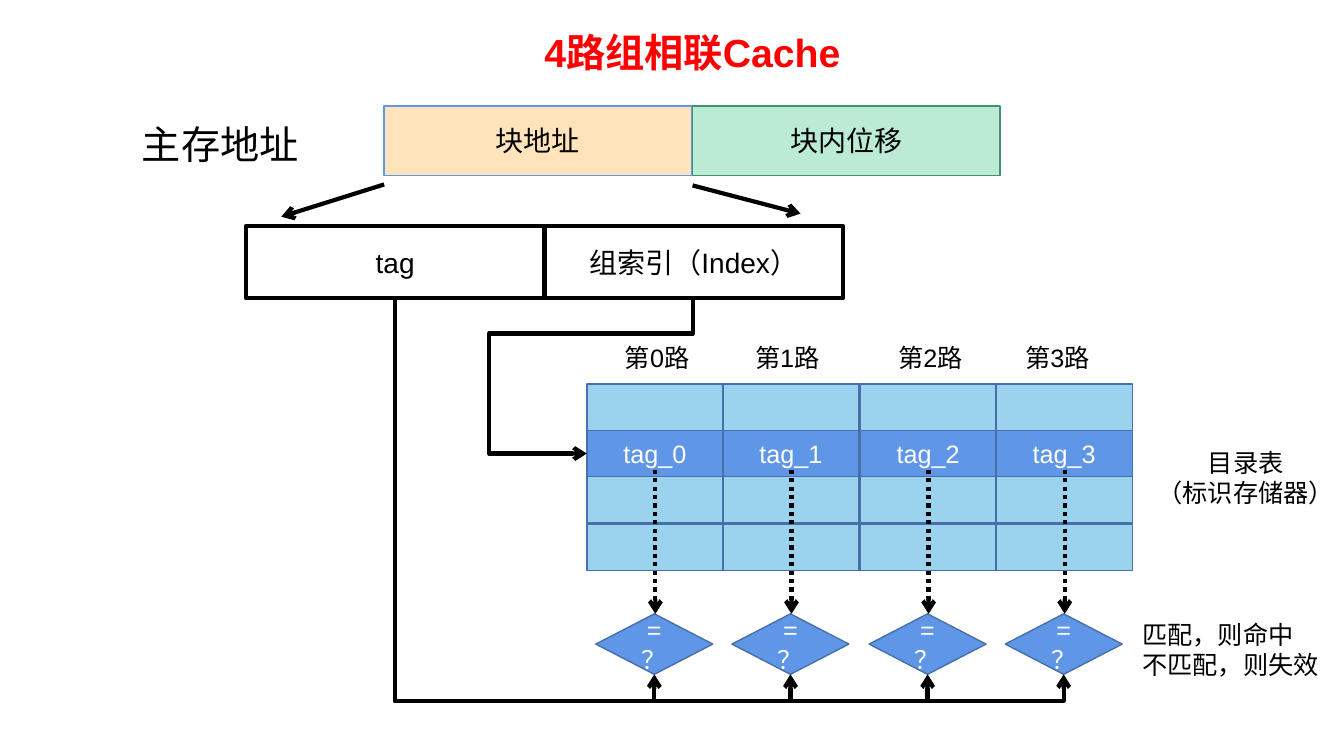
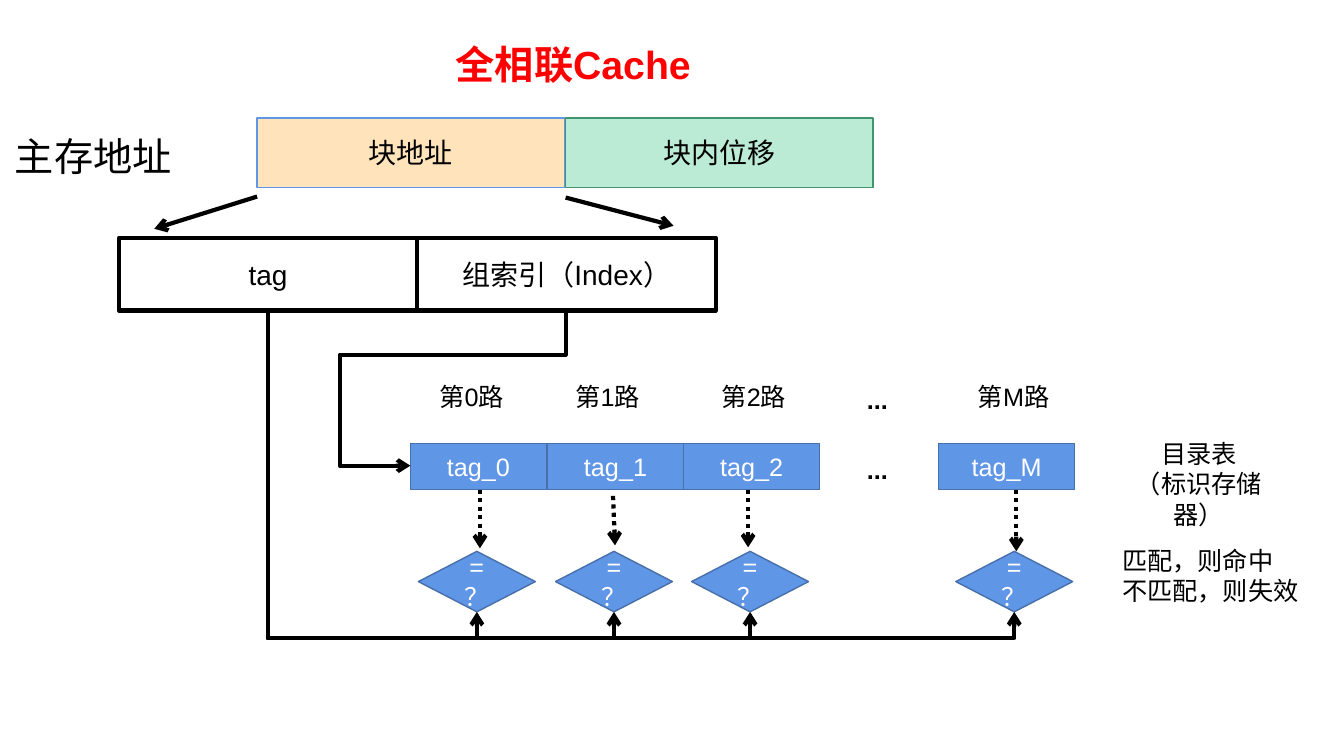
"""Draw two cache-mapping diagrams: 4-way set associative and fully associative."""
from dataclasses import dataclass
from typing import Optional

from pptx import Presentation
from pptx import util as u
from pptx.dml.color import RGBColor
from pptx.enum import dml, shapes, text
from pptx.oxml import parse_xml
from pptx.oxml.ns import nsdecls

EMU_PER_PX = 9144
FONT = "Arial"
COLORS = {
    "black": "000000", "white": "FFFFFF", "title": "FF0000",
    "block": "FFE3BB", "block_line": "6096E6",
    "offset": "BBEAD5", "offset_line": "40956E",
    "cell": "9BD3EF", "hit": "6096E6", "cell_line": "476FAA",
}
RECT = shapes.MSO_SHAPE.RECTANGLE
GATE = shapes.MSO_SHAPE.FLOWCHART_DECISION
LEFT, CENTER = text.PP_ALIGN.LEFT, text.PP_ALIGN.CENTER
FIELD_W, FIELD_H = 305, 69
PART_W, PART_H = 296, 72
CELL_W, CELL_H = 135, 46
GATE_W, GATE_H = 116, 60
BUS_DROP = 86


@dataclass(frozen=True)
class Way:
    """One way: its label, tag cell, comparator and dotted probe line."""
    label: str
    tag: str
    label_x: int
    cell_x: int
    gate_x: int
    probe: tuple[int, int, int, int]


@dataclass(frozen=True)
class Note:
    """A free text with one paragraph per line."""
    lines: tuple[str, ...]
    box: tuple[int, int, int, int]
    align: text.PP_ALIGN = LEFT
    bold: bool = False
    wrap: bool = True


@dataclass(frozen=True)
class Diagram:
    """Everything that differs from slide to slide."""
    title: str
    title_x: int
    title_y: int
    x: int
    y: int
    label_y: int
    table_y: int
    rows: int
    hit_row: int
    gate_y: int
    index_bend: tuple[int, int]
    index_end: tuple[int, int]
    ways: tuple[Way, ...]
    notes: tuple[Note, ...]


DIRECTORY = ("目录表", "（标识存储器）")
VERDICT = ("匹配，则命中", "不匹配，则失效")

SET_WAYS = tuple(
    Way(f"第{i}路", f"tag_{i}", label_x, cell_x, cell_x + 9,
        (cell_x + 68, 466, cell_x + 68, 609))
    for i, (label_x, cell_x) in enumerate(
        zip((610, 739, 881, 1007), (582, 717, 853, 988)))
)
FULL_WAYS = (
    Way("第0路", "tag_0", 426, 407, 415, (476, 486, 476, 544)),
    Way("第1路", "tag_1", 561, 543, 551, (608, 492, 610, 541)),
    Way("第2路", "tag_2", 706, 678, 686, (742, 486, 742, 543)),
    Way("第M路", "tag_M", 960, 931, 948, (1008, 486, 1008, 547)),
)
DIAGRAMS = (
    Diagram("4路组相联Cache", 530, 23, 381, 105, 335, 381, 4, 1, 609,
            (485, 331), (582, 450), SET_WAYS,
            (Note(DIRECTORY, (1138, 439, 195, 71), CENTER, wrap=False),
             Note(VERDICT, (1123, 609, 201, 71)))),
    Diagram("全相联Cache", 442, 35, 255, 117, 373, 440, 1, 0, 547,
            (337, 352), (407, 462), FULL_WAYS,
            (Note(DIRECTORY, (1103, 430, 172, 71), CENTER),
             Note(VERDICT, (1103, 536, 201, 71)),
             Note(("...",), (850, 376, 99, 40), bold=True),
             Note(("...",), (850, 446, 99, 40), bold=True))),
)


def px(n: float) -> u.Emu:
    """Turn px into EMU."""
    return u.Emu(round(n * EMU_PER_PX))


def rgb(name: str) -> RGBColor:
    """Look up a colour by name."""
    return RGBColor.from_string(COLORS[name])


def write(tf, *lines: str, size: int = 18, color: str = "black", bold: bool = False,
          align: text.PP_ALIGN = LEFT, anchor=text.MSO_ANCHOR.TOP,
          wrap: bool = True) -> None:
    """Fill a text frame with formatted paragraphs."""
    tf.word_wrap = wrap
    tf.vertical_anchor = anchor
    for i, line in enumerate(lines):
        p = tf.add_paragraph() if i else tf.paragraphs[0]
        p.alignment = align
        r = p.add_run()
        r.text = line
        r.font.name = FONT
        r.font.size = u.Pt(size)
        r.font.bold = bold
        r.font.color.rgb = rgb(color)
        r.font._element.append(
            parse_xml(f'<a:ea {nsdecls("a")} typeface="{FONT}"/>'))


def add_box(s, kind, x: int, y: int, w: int, h: int, fill: str, line: str,
            label: str = "", weight: int = 1, size: int = 18,
            color: str = "white") -> None:
    """Draw a filled preset shape with centred text."""
    sp = s.shapes.add_shape(kind, px(x), px(y), px(w), px(h))
    sp.shadow.inherit = False
    sp.fill.solid()
    sp.fill.fore_color.rgb = rgb(fill)
    sp.line.color.rgb = rgb(line)
    sp.line.width = u.Pt(weight)
    if label:
        write(sp.text_frame, label, size=size, color=color, align=CENTER,
              anchor=text.MSO_ANCHOR.MIDDLE)


def add_text(s, box: tuple[int, int, int, int], *lines: str, **fmt) -> None:
    """Draw a text box that grows with its text."""
    tf = s.shapes.add_textbox(*map(px, box)).text_frame
    write(tf, *lines, **fmt)
    tf.auto_size = text.MSO_AUTO_SIZE.SHAPE_TO_FIT_TEXT


def add_arrow(s, x1: float, y1: float, x2: float, y2: float,
              kind=shapes.MSO_CONNECTOR.STRAIGHT, dotted: bool = False):
    """Draw a black connector with an open arrowhead at its end."""
    c = s.shapes.add_connector(kind, px(x1), px(y1), px(x2), px(y2))
    c.line.color.rgb = rgb("black")
    c.line.width = u.Pt(3)
    if dotted:
        c.line.dash_style = dml.MSO_LINE.ROUND_DOT
    c.line._get_or_add_ln().append(
        parse_xml(f'<a:tailEnd {nsdecls("a")} type="arrow"/>'))
    c._element.spPr.append(parse_xml(f'<a:effectLst {nsdecls("a")}/>'))
    return c


def add_elbow(s, start: tuple[int, int], end: tuple[int, int], bend_y: int,
              bend_x: Optional[int] = None) -> None:
    """Draw an elbow arrow that leaves downwards and turns at the bends."""
    (x1, y1), (x2, y2) = start, end
    w, h = abs(y2 - y1), abs(x2 - x1)
    left, top = (x1 + x2 - w) / 2, (y1 + y2 - h) / 2
    c = add_arrow(s, left, top, left + w, top + h, shapes.MSO_CONNECTOR.ELBOW)
    bends = [(bend_y - y1) / w]
    if bend_x is not None:
        bends.append((bend_x - x1) / (x2 - x1) if x2 > x1 else (x1 - bend_x) / h)
    xfrm = c._element.spPr.find("{*}xfrm")
    xfrm.set("rot", "5400000")
    if x2 > x1:
        xfrm.set("flipV", "1")
    geom = c._element.spPr.find("{*}prstGeom")
    geom.set("prst", f"bentConnector{len(bends) + 2}")
    for av in geom.findall("{*}avLst"):
        geom.remove(av)
    guides = "".join(f'<a:gd name="adj{i}" fmla="val {round(b * 100000)}"/>'
                     for i, b in enumerate(bends, 1))
    geom.append(parse_xml(f'<a:avLst {nsdecls("a")}>{guides}</a:avLst>'))


def add_title(s, d: Diagram) -> None:
    """Place and format the title placeholder."""
    sp = s.shapes.title
    sp.left, sp.top, sp.width, sp.height = map(px, (d.title_x, d.title_y, 437, 57))
    write(sp.text_frame, d.title, size=28, color="title", bold=True)
    sp.text_frame.auto_size = text.MSO_AUTO_SIZE.NONE


def add_address(s, x: int, y: int) -> None:
    """Draw the memory address and its split into tag and index."""
    add_text(s, (x - 250, y + 9, 206, 57), "主存地址", size=28)
    fields = (("块地址", "block"), ("块内位移", "offset"))
    for i, (label, fill) in enumerate(fields):
        add_box(s, RECT, x + i * (FIELD_W + 1), y, FIELD_W, FIELD_H, fill,
                f"{fill}_line", label, size=20, color="black")
    add_arrow(s, x, y + 78, x - 102, y + 110)
    add_arrow(s, x + 306, y + 79, x + 413, y + 107)
    for i, label in enumerate(("tag", "组索引（Index）")):
        add_box(s, RECT, x - 137 + i * PART_W, y + 119, PART_W, PART_H, "white",
                "black", label, weight=3, size=20, color="black")


def add_way(s, d: Diagram, way: Way) -> None:
    """Draw one way with its cells, comparator and tag feed."""
    add_text(s, (way.label_x, d.label_y, 96, 40), way.label)
    for row in range(d.rows):
        hit = row == d.hit_row
        add_box(s, RECT, way.cell_x, d.table_y + row * 139 // 3, CELL_W, CELL_H,
                "hit" if hit else "cell", "cell_line", way.tag if hit else "")
    add_box(s, GATE, way.gate_x, d.gate_y, GATE_W, GATE_H, "hit", "cell_line", "=？")
    add_arrow(s, *way.probe, dotted=True)
    add_elbow(s, (d.x - 137 + PART_W // 2, d.y + 119 + PART_H),
              (way.gate_x + GATE_W // 2, d.gate_y + GATE_H), d.gate_y + BUS_DROP)


def add_diagram(prs, d: Diagram) -> None:
    """Add one slide with its whole diagram."""
    s = prs.slides.add_slide(prs.slide_layouts[5])
    add_title(s, d)
    add_address(s, d.x, d.y)
    for way in d.ways:
        add_way(s, d, way)
    bend_x, bend_y = d.index_bend
    add_elbow(s, (d.x + 306, d.y + 119 + PART_H), d.index_end, bend_y, bend_x)
    for note in d.notes:
        add_text(s, note.box, *note.lines, align=note.align, bold=note.bold,
                 wrap=note.wrap)


def main() -> None:
    """Build and save the presentation."""
    prs = Presentation()
    prs.slide_width, prs.slide_height = px(1333), px(750)
    for d in DIAGRAMS:
        add_diagram(prs, d)
    prs.save("out.pptx")


if __name__ == "__main__":
    main()
